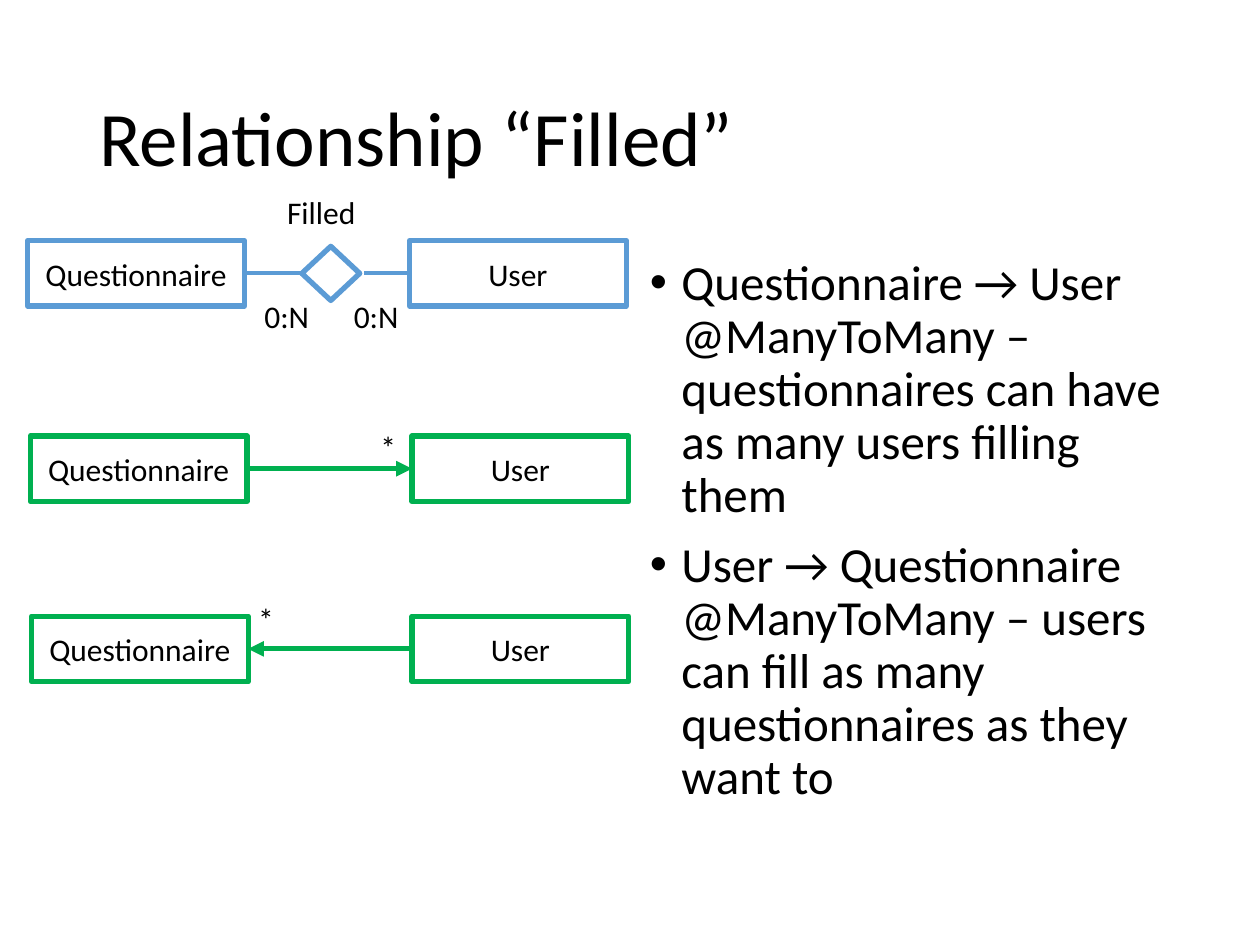
"""Build the slide on the "Filled" relationship between questionnaires and users."""
from lxml import etree
from pptx import Presentation
from pptx.dml.color import RGBColor
from pptx.enum.shapes import MSO_CONNECTOR, MSO_SHAPE
from pptx.enum.text import MSO_ANCHOR, PP_ALIGN
from pptx.oxml.ns import qn
from pptx.util import Inches, Pt

RECTANGLE, DIAMOND = MSO_SHAPE.RECTANGLE, MSO_SHAPE.DIAMOND
STRAIGHT = MSO_CONNECTOR.STRAIGHT
MIDDLE, CENTER = MSO_ANCHOR.MIDDLE, PP_ALIGN.CENTER

COLORS = {"text": "000000", "paper": "FFFFFF", "entity": "5B9BD5", "mapping": "00B050"}
FONT = "Calibri"
TITLE = "Relationship “Filled” "
EXPLANATIONS = [
    "Questionnaire → User\v@ManyToMany – questionnaires can have as many users filling them",
    "User → Questionnaire @ManyToMany – users can fill as many questionnaires as they want to",
]
BOX_WIDTH, BOX_HEIGHT = 1.72, 0.52
ROWS = [
    {"top": 1.91, "questionnaire": 0.22, "user": 3.25, "color": "entity", "fill": "paper",
     "links": [(3.25, 2.89, None), (2.4, 1.94, None)], "weight": 2.25},
    {"top": 3.46, "questionnaire": 0.24, "user": 3.27, "color": "mapping", "fill": None,
     "links": [(3.27, 1.96, "a:headEnd")], "weight": 3},
    {"top": 4.89, "questionnaire": 0.25, "user": 3.27, "color": "mapping", "fill": None,
     "links": [(3.27, 1.97, "a:tailEnd")], "weight": 3},
]
LABELS = [
    ("0:N", 2.71, 2.31, 0.56),
    ("0:N", 2, 2.31, 0.56),
    ("Filled", 2.18, 1.48, 0.75),
    ("*", 2.92, 3.35, 0.33),
    ("*", 1.95, 4.71, 0.33),
]


def rgb(name):
    return RGBColor.from_string(COLORS[name])


def write(frame, paragraphs, size):
    frame.text = "\n".join(paragraphs)
    for paragraph in frame.paragraphs:
        for run in paragraph.runs:
            run.font.name, run.font.size = FONT, Pt(size)
            run.font.color.rgb = rgb("text")


def add_text(slide, paragraphs, left, top, width, height, size, wrap=True):
    box = slide.shapes.add_textbox(Inches(left), Inches(top), Inches(width), Inches(height))
    box.text_frame.word_wrap = wrap
    write(box.text_frame, paragraphs, size)
    return box.text_frame


def add_outlined(slide, kind, left, top, width, height, color, fill):
    shape = slide.shapes.add_shape(kind, Inches(left), Inches(top), Inches(width), Inches(height))
    shape.shadow.inherit = False
    if fill:
        shape.fill.solid()
        shape.fill.fore_color.rgb = rgb(fill)
    else:
        shape.fill.background()
    shape.line.color.rgb, shape.line.width = rgb(color), Pt(3)
    return shape


def add_link(slide, start, end, y, color, weight, arrow):
    link = slide.shapes.add_connector(STRAIGHT, Inches(start), Inches(y), Inches(end), Inches(y))
    link.line.color.rgb, link.line.width = rgb(color), Pt(weight)
    properties = link.element.spPr
    if arrow:
        etree.SubElement(properties.find(qn("a:ln")), qn(arrow), type="triangle")
    etree.SubElement(properties, qn("a:effectLst"))


def add_row(slide, row):
    for name, key in (("User", "user"), ("Questionnaire", "questionnaire")):
        box = add_outlined(slide, RECTANGLE, row[key], row["top"], BOX_WIDTH, BOX_HEIGHT,
                           row["color"], row["fill"])
        write(box.text_frame, [name], 18)
        box.text_frame.vertical_anchor = MIDDLE
        box.text_frame.paragraphs[0].alignment = CENTER
    for start, end, arrow in row["links"]:
        add_link(slide, start, end, row["top"] + BOX_HEIGHT / 2, row["color"], row["weight"], arrow)


prs = Presentation()
prs.slide_width, prs.slide_height = Inches(10), Inches(7.5)
slide = prs.slides.add_slide(prs.slide_layouts[6])

title = add_text(slide, [TITLE], 0.69, 0.4, 8.62, 1.45, 44)
title.vertical_anchor = MIDDLE
title.paragraphs[0].line_spacing = 0.9

explanation = add_text(slide, EXPLANATIONS, 5.06, 2, 4.25, 5.39, 28)
for paragraph in explanation.paragraphs:
    paragraph.line_spacing, paragraph.space_before = 0.9, Pt(10)
    properties = paragraph._p.get_or_add_pPr()
    properties.set("marL", str(Inches(0.25)))
    properties.set("indent", str(-Inches(0.25)))
    etree.SubElement(properties, qn("a:buFont"), typeface="Arial")
    etree.SubElement(properties, qn("a:buChar"), char="•")

for row in ROWS:
    add_row(slide, row)
relationship = add_outlined(slide, DIAMOND, 2.41, 1.94, 0.43, 0.46, "entity", "paper")
relationship.rotation = 90
for label, left, top, width in LABELS:
    add_text(slide, [label], left, top, width, 0.4, 18, wrap=False)

prs.save("out.pptx")
